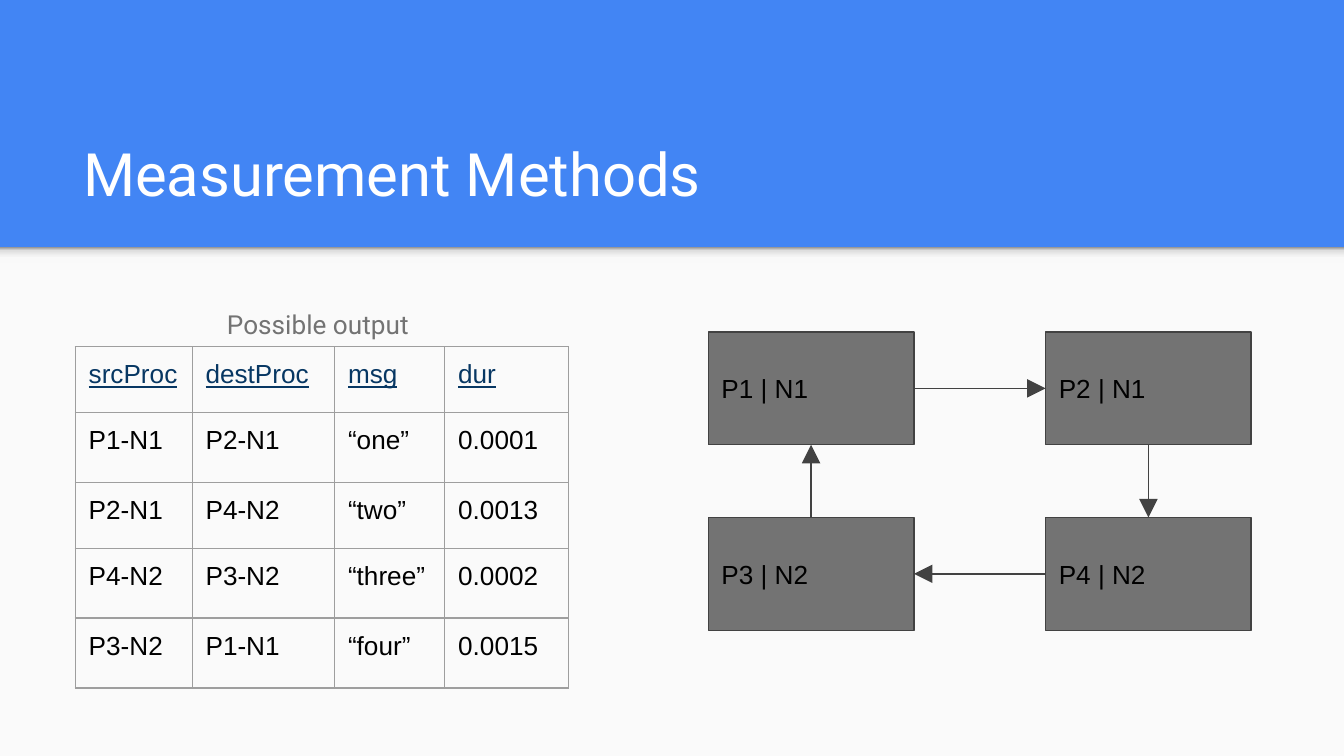
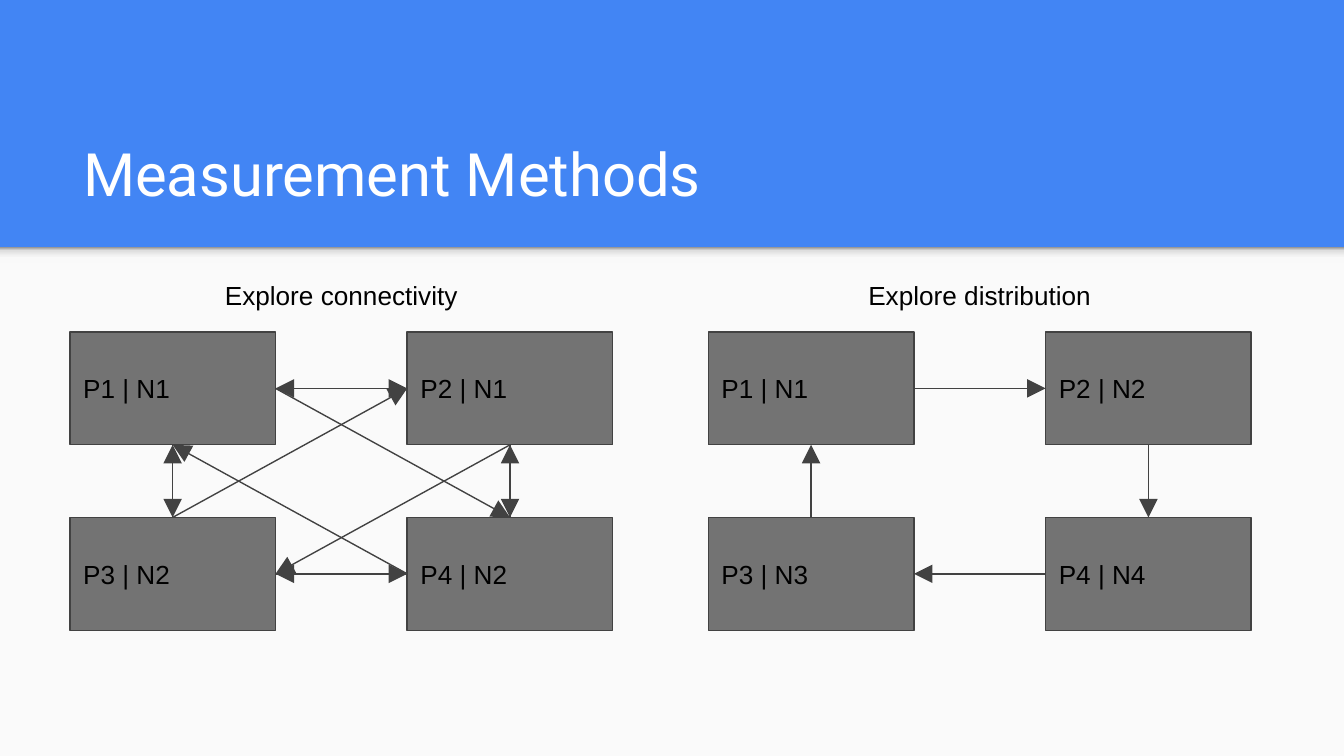
from lxml import etree
from pptx import Presentation
from pptx.dml.color import RGBColor
from pptx.enum.shapes import MSO_CONNECTOR, MSO_SHAPE
from pptx.enum.text import MSO_ANCHOR, PP_ALIGN
from pptx.oxml.ns import qn
from pptx.util import Inches, Pt

STRAIGHT = MSO_CONNECTOR.STRAIGHT
RECTANGLE = MSO_SHAPE.RECTANGLE
TOP, MIDDLE, BOTTOM = MSO_ANCHOR.TOP, MSO_ANCHOR.MIDDLE, MSO_ANCHOR.BOTTOM
LEFT, CENTER = PP_ALIGN.LEFT, PP_ALIGN.CENTER
SIDE_TOP, SIDE_LEFT, SIDE_BOTTOM, SIDE_RIGHT = range(4)

BLUE, PAPER, WHITE, BLACK = "4285F4", "FAFAFA", "FFFFFF", "000000"
GRAY, DARK_GRAY, BORDER, NAVY = "737373", "424242", "9E9E9E", "073763"
SHADOW_STOPS = [(0, "F9F9F9"), (36, "F9F9F9"), (80, "DEDEDE"), (100, "999999")]

SLIDE_WIDTH = 10
SLIDE_HEIGHT = SLIDE_WIDTH * 9 / 16
BAND_HEIGHT = 1.84
MARGIN = 0.52
RIGHT_HALF = 5.27
BOX_WIDTH, BOX_HEIGHT = 1.53, 0.84
COLUMN_STEP, ROW_STEP = 2.51, 1.38
DIAGRAM_TOP = 2.47
DIAGRAM_WIDTH = COLUMN_STEP + BOX_WIDTH

RING = [
    (0, SIDE_RIGHT, 1, SIDE_LEFT),
    (1, SIDE_BOTTOM, 3, SIDE_TOP),
    (3, SIDE_LEFT, 2, SIDE_RIGHT),
    (2, SIDE_TOP, 0, SIDE_BOTTOM),
]
REVERSE_RING = [(end, end_side, start, start_side)
                for start, start_side, end, end_side in RING]
DIAGONALS = [
    (2, SIDE_TOP, 1, SIDE_LEFT),
    (1, SIDE_BOTTOM, 2, SIDE_RIGHT),
    (3, SIDE_LEFT, 0, SIDE_BOTTOM),
    (0, SIDE_RIGHT, 3, SIDE_TOP),
]

SLIDES = [
    [(RIGHT_HALF, None, ["P1 | N1", "P2 | N1", "P3 | N2", "P4 | N2"], RING)],
    [
        (RIGHT_HALF, "Explore distribution",
         ["P1 | N1", "P2 | N2", "P3 | N3", "P4 | N4"], RING),
        (MARGIN, "Explore connectivity",
         ["P1 | N1", "P2 | N1", "P3 | N2", "P4 | N2"],
         RING + REVERSE_RING + DIAGONALS),
    ],
]

COLUMN_WIDTHS = [0.87, 1.06, 0.82, 0.92]
ROW_HEIGHTS = [0.49, 0.52, 0.49, 0.52, 0.52]
OUTPUT = [
    ["srcProc", "destProc", "msg", "dur"],
    ["P1-N1", "P2-N1", "“one”", "0.0001"],
    ["P2-N1", "P4-N2", "“two”", "0.0013"],
    ["P4-N2", "P3-N2", "“three”", "0.0002"],
    ["P3-N2", "P1-N1", "“four”", "0.0015"],
]


def color(value):
    return RGBColor.from_string(value)


def write(frame, text, size=14, font="Arial", ink=BLACK, align=LEFT,
          anchor=TOP, underline=False, spacing=1.0):
    frame.margin_left = frame.margin_right = Inches(0.1)
    frame.margin_top = frame.margin_bottom = Inches(0.1)
    frame.vertical_anchor = anchor
    frame.word_wrap = True
    paragraph = frame.paragraphs[0]
    paragraph.alignment = align
    paragraph.line_spacing = spacing
    run = paragraph.add_run()
    run.text = text
    run.font.size = Pt(size)
    run.font.name = font
    run.font.underline = underline
    run.font.color.rgb = color(ink)


presentation = Presentation()
presentation.slide_width = Inches(SLIDE_WIDTH)
presentation.slide_height = Inches(SLIDE_HEIGHT)

for diagrams in SLIDES:
    slide = presentation.slides.add_slide(presentation.slide_layouts[6])
    slide.background.fill.solid()
    slide.background.fill.fore_color.rgb = color(BLUE)

    for height in (SLIDE_HEIGHT - BAND_HEIGHT, 0.12):
        panel = slide.shapes.add_shape(
            RECTANGLE, 0, Inches(BAND_HEIGHT), Inches(SLIDE_WIDTH), Inches(height))
        panel.shadow.inherit = False
        panel.line.fill.background()
        panel.fill.solid()
        panel.fill.fore_color.rgb = color(PAPER)
    panel.fill.gradient()
    panel.fill.gradient_angle = 90
    stops = panel.element.spPr.find(".//" + qn("a:gsLst"))
    stops.clear()
    for position, shade in SHADOW_STOPS:
        stop = etree.SubElement(stops, qn("a:gs"), pos=str(position * 1000))
        etree.SubElement(stop, qn("a:srgbClr"), val=shade)

    title = slide.shapes.add_textbox(
        Inches(MARGIN), Inches(0.81), Inches(8.99), Inches(0.84))
    write(title.text_frame, "Measurement Methods", size=32, font="Roboto",
          ink=WHITE, anchor=BOTTOM)

    for left, heading, labels, links in diagrams:
        boxes = []
        for index, label in enumerate(labels):
            row, column = divmod(index, 2)
            box = slide.shapes.add_shape(
                RECTANGLE, Inches(left + column * COLUMN_STEP),
                Inches(DIAGRAM_TOP + row * ROW_STEP),
                Inches(BOX_WIDTH), Inches(BOX_HEIGHT))
            box.shadow.inherit = False
            box.fill.solid()
            box.fill.fore_color.rgb = color(GRAY)
            box.line.color.rgb = color(DARK_GRAY)
            box.line.width = Pt(0.75)
            write(box.text_frame, label, anchor=MIDDLE)
            boxes.append(box)

        for start, start_side, end, end_side in links:
            arrow = slide.shapes.add_connector(STRAIGHT, 0, 0, 0, 0)
            arrow.begin_connect(boxes[start], start_side)
            arrow.end_connect(boxes[end], end_side)
            arrow.line.color.rgb = color(DARK_GRAY)
            arrow.line.width = Pt(0.75)
            properties = arrow.element.spPr
            etree.SubElement(properties.find(qn("a:ln")), qn("a:tailEnd"),
                             type="triangle", w="lg", len="lg")
            etree.SubElement(properties, qn("a:effectLst"))

        if heading:
            caption = slide.shapes.add_textbox(
                Inches(left), Inches(1.98), Inches(DIAGRAM_WIDTH), Inches(0.44))
            write(caption.text_frame, heading, align=CENTER)

slide = presentation.slides[0]
table_frame = slide.shapes.add_table(
    len(ROW_HEIGHTS), len(COLUMN_WIDTHS), Inches(0.56), Inches(2.58),
    Inches(sum(COLUMN_WIDTHS)), Inches(sum(ROW_HEIGHTS)))
table = table_frame.table
table.first_row = False
table.horz_banding = False
for column, width in zip(table.columns, COLUMN_WIDTHS):
    column.width = Inches(width)
for row, height in zip(table.rows, ROW_HEIGHTS):
    row.height = Inches(height)

for row_index, values in enumerate(OUTPUT):
    is_header = row_index == 0
    for column_index, value in enumerate(values):
        cell = table.cell(row_index, column_index)
        cell.margin_left = cell.margin_right = Inches(0.1)
        cell.margin_top = cell.margin_bottom = Inches(0.1)
        cell.fill.background()
        write(cell.text_frame, value, ink=NAVY if is_header else BLACK,
              underline=is_header)

for properties in table_frame.element.iter(qn("a:tcPr")):
    for position, side in enumerate(("a:lnL", "a:lnR", "a:lnT", "a:lnB")):
        edge = etree.Element(qn(side), w=str(Pt(0.75)))
        edge_fill = etree.SubElement(edge, qn("a:solidFill"))
        etree.SubElement(edge_fill, qn("a:srgbClr"), val=BORDER)
        properties.insert(position, edge)

caption = slide.shapes.add_textbox(
    Inches(1.59), Inches(2.16), Inches(1.59), Inches(0.42))
write(caption.text_frame, "Possible output", font="Roboto", ink=GRAY, spacing=1.15)

presentation.save("out.pptx")
